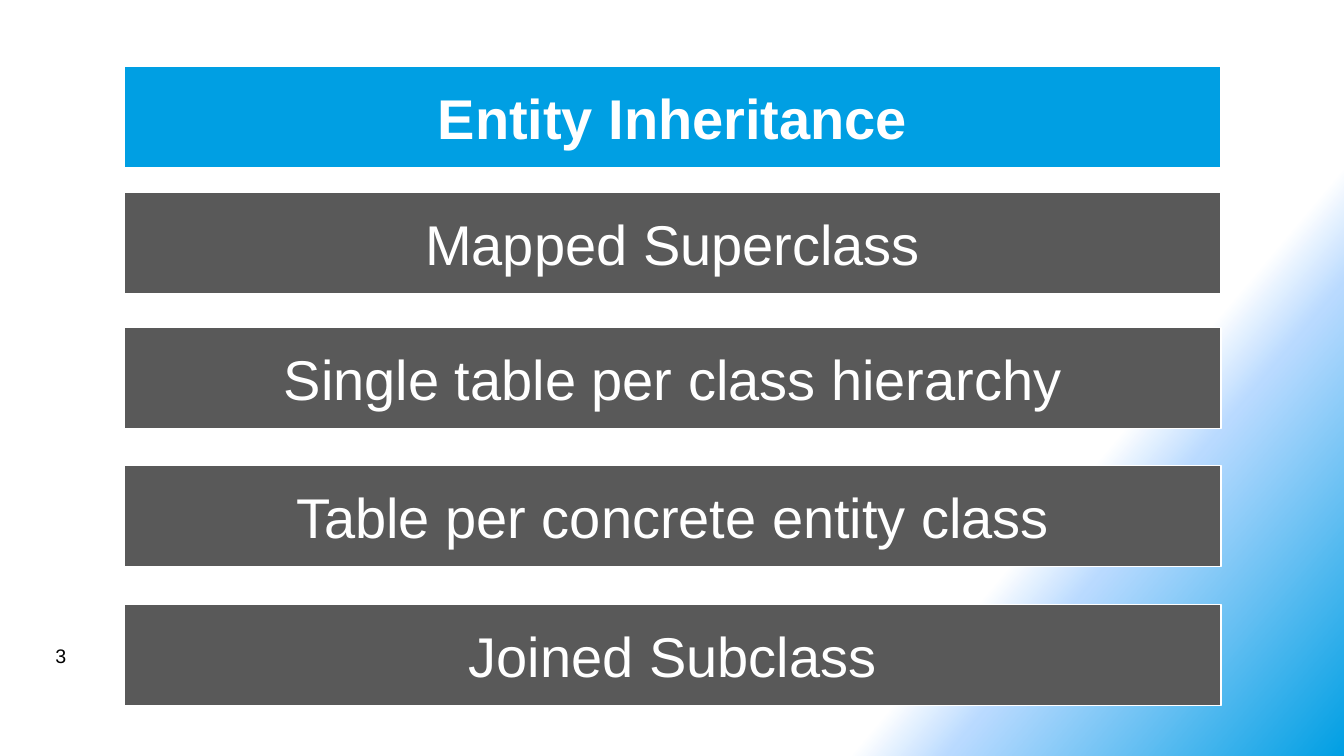
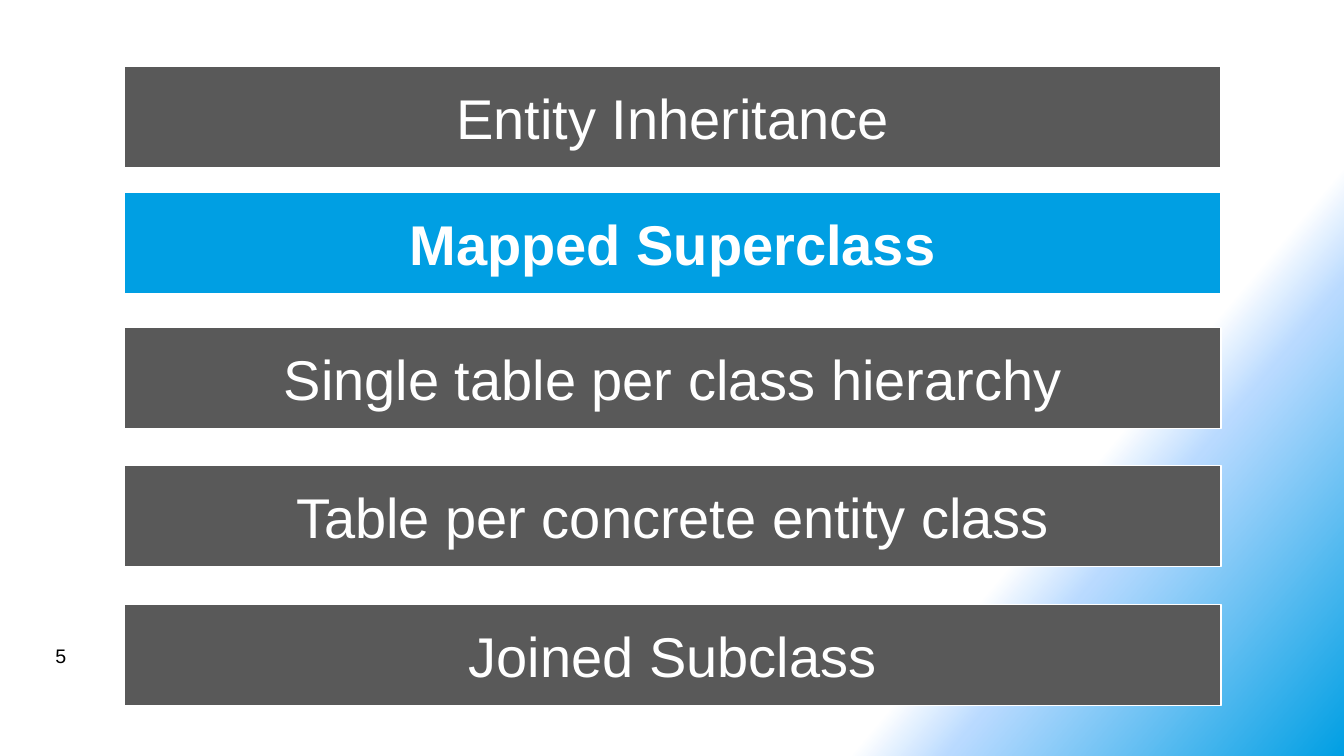
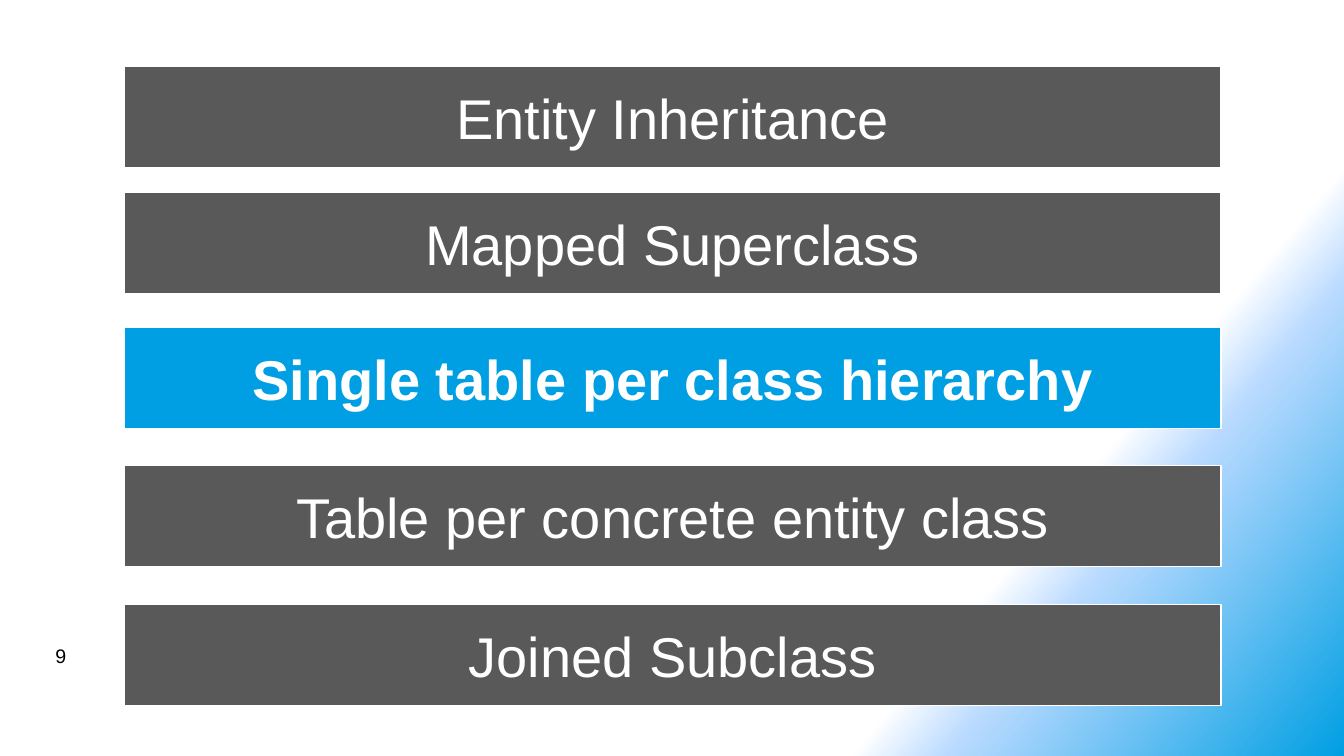
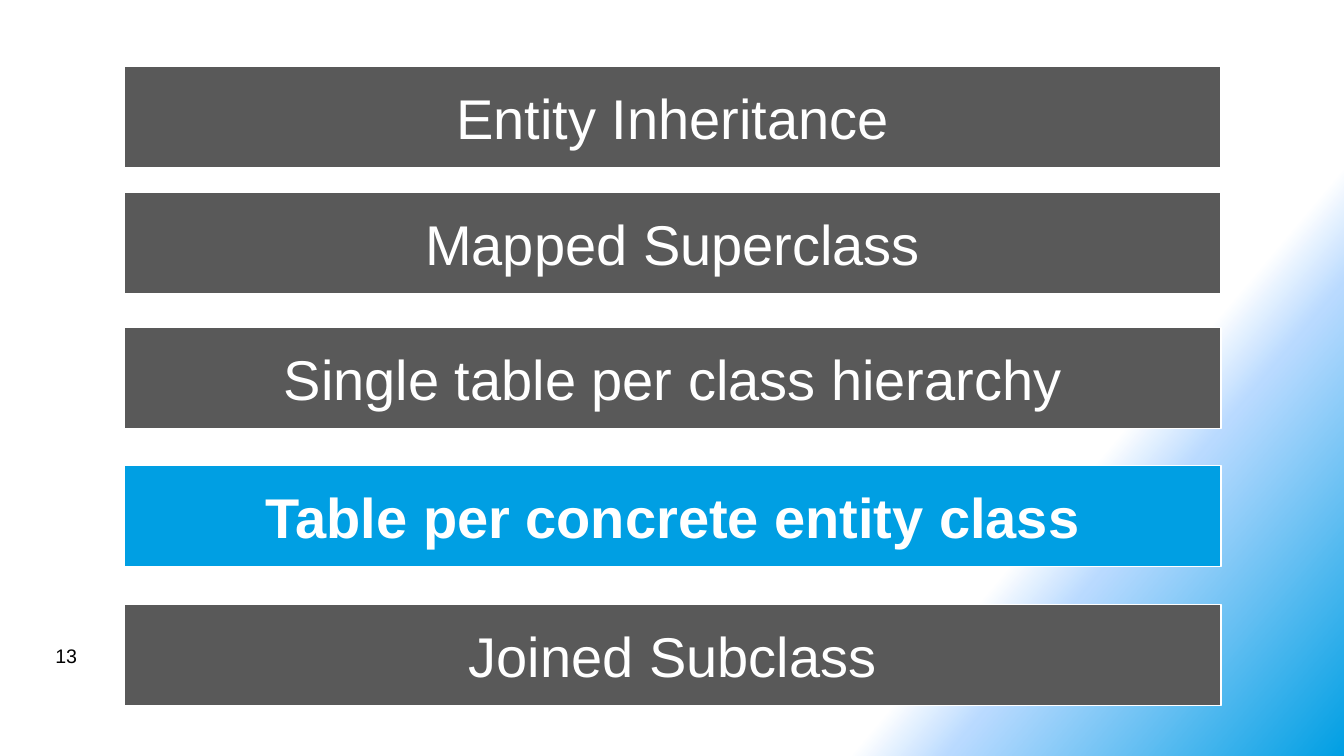
"""Build the four agenda slides on entity inheritance."""
from pptx import Presentation
from pptx.dml.color import RGBColor
from pptx.enum.shapes import MSO_SHAPE
from pptx.enum.text import MSO_ANCHOR, MSO_AUTO_SIZE, PP_ALIGN
from pptx.oxml import parse_xml
from pptx.oxml.ns import nsdecls, qn
from pptx.util import Inches, Pt

RECTANGLE = MSO_SHAPE.RECTANGLE
MIDDLE, TOP = MSO_ANCHOR.MIDDLE, MSO_ANCHOR.TOP
CENTER, LEFT = PP_ALIGN.CENTER, PP_ALIGN.LEFT
NO_AUTOFIT = MSO_AUTO_SIZE.NONE

COLORS = {
    "active": "009FE3",
    "inactive": "595959",
    "haze": "B9DAFF",
    "white": "FFFFFF",
    "black": "000000",
}
FONT = "Arial"
TITLE_ONLY = 5
TOPICS = [
    ("Entity Inheritance", 0.66),
    ("Mapped Superclass", 1.91),
    ("Single table per class hierarchy", 3.25),
    ("Table per concrete entity class", 4.62),
    ("Joined Subclass", 6),
]
AGENDA_PAGES = [
    (3, "Entity Inheritance"),
    (5, "Mapped Superclass"),
    (9, "Single table per class hierarchy"),
    (13, "Table per concrete entity class"),
]


def rgb(name):
    """Return the named palette colour."""
    return RGBColor.from_string(COLORS[name])


def write(box, text, size, color="black", bold=False, align=LEFT, anchor=TOP):
    """Put one formatted paragraph into a box."""
    frame = box.text_frame
    frame.word_wrap = True
    frame.auto_size = NO_AUTOFIT
    frame.vertical_anchor = anchor
    para = frame.paragraphs[0]
    para.alignment = align
    span = para.add_run()
    span.text = text
    span.font.name = FONT
    span.font.size = Pt(size)
    span.font.bold = bold
    span.font.color.rgb = rgb(color)


class AgendaDeck:
    """Hold the deck style and the current page."""

    def __init__(self):
        """Set the slide size and the shared background."""
        self.deck = Presentation()
        self.deck.slide_width = Inches(13.33)
        self.deck.slide_height = Inches(7.5)
        self.page = None
        self.set_background()

    def set_background(self):
        """Give the slide master its diagonal gradient."""
        common = self.deck.slide_master.element.find(qn("p:cSld"))
        common.remove(common.find(qn("p:bg")))
        common.insert(0, parse_xml(
            f'<p:bg {nsdecls("p", "a")}><p:bgPr><a:gradFill><a:gsLst>'
            f'<a:gs pos="75000"><a:srgbClr val="{COLORS["white"]}"/></a:gs>'
            f'<a:gs pos="80000"><a:srgbClr val="{COLORS["haze"]}">'
            '<a:alpha val="50000"/></a:srgbClr></a:gs>'
            f'<a:gs pos="100000"><a:srgbClr val="{COLORS["active"]}"/></a:gs>'
            '</a:gsLst><a:lin ang="2400000" scaled="0"/></a:gradFill>'
            '<a:effectLst/></p:bgPr></p:bg>'))

    def add_page(self, number, current):
        """Add an agenda page with its current topic highlighted."""
        layout = self.deck.slide_layouts[TITLE_ONLY]
        self.page = self.deck.slides.add_slide(layout)
        for topic, top in TOPICS:
            self.add_bar(topic, top, topic == current)
        self.add_number(number)

    def add_bar(self, topic, top, active):
        """Draw a topic bar, using the title placeholder when active."""
        place = [Inches(value) for value in (1.23, top, 10.88, 1)]
        if active:
            bar = self.page.shapes.title
            bar.left, bar.top, bar.width, bar.height = place
        else:
            bar = self.page.shapes.add_shape(RECTANGLE, *place)
            bar.shadow.inherit = False
        bar.fill.solid()
        bar.fill.fore_color.rgb = rgb("active" if active else "inactive")
        bar.line.color.rgb = rgb("white")
        bar.line.width = Pt(1)
        write(bar, topic, 40, color="white", bold=active, align=CENTER, anchor=MIDDLE)

    def add_number(self, number):
        """Write the page number at the lower left."""
        place = [Inches(value) for value in (0.45, 6.34, 3.11, 0.33)]
        write(self.page.shapes.add_textbox(*place), str(number), 14)


agenda = AgendaDeck()
for page_number, current_topic in AGENDA_PAGES:
    agenda.add_page(page_number, current_topic)
agenda.deck.save("out.pptx")
